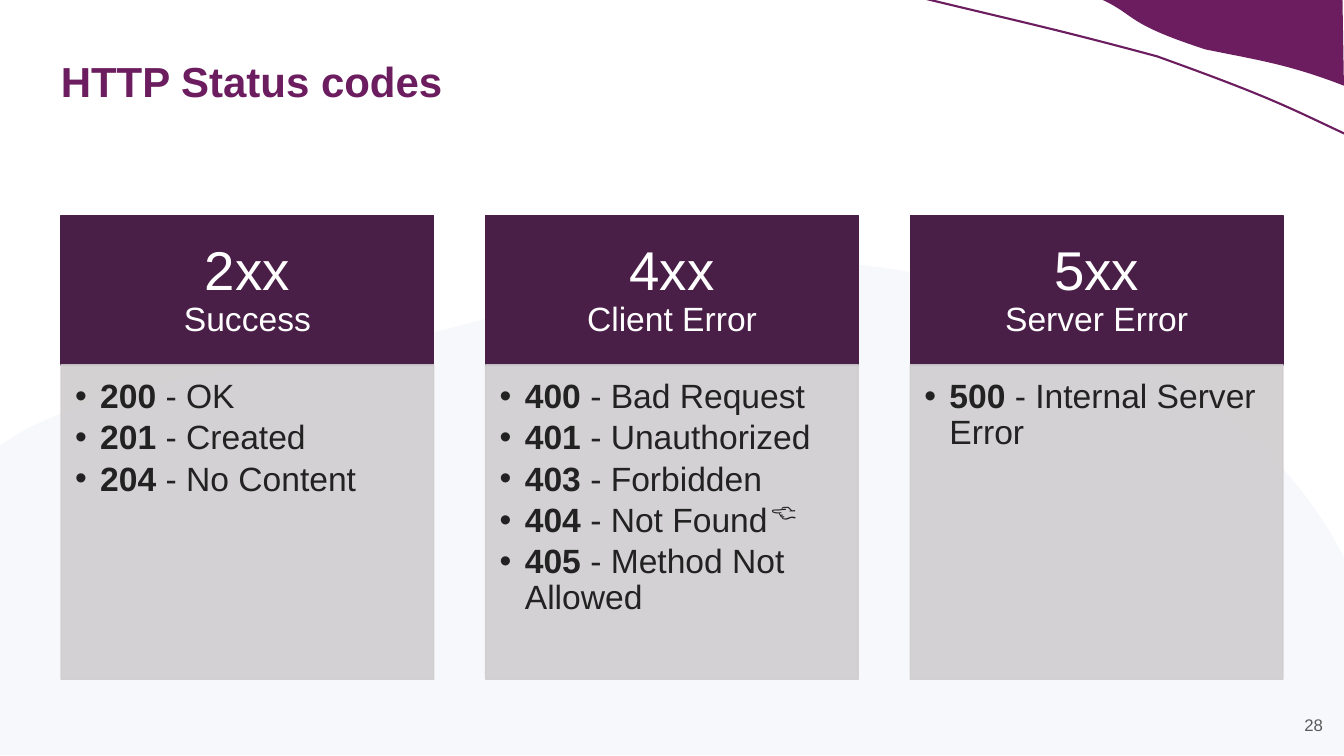
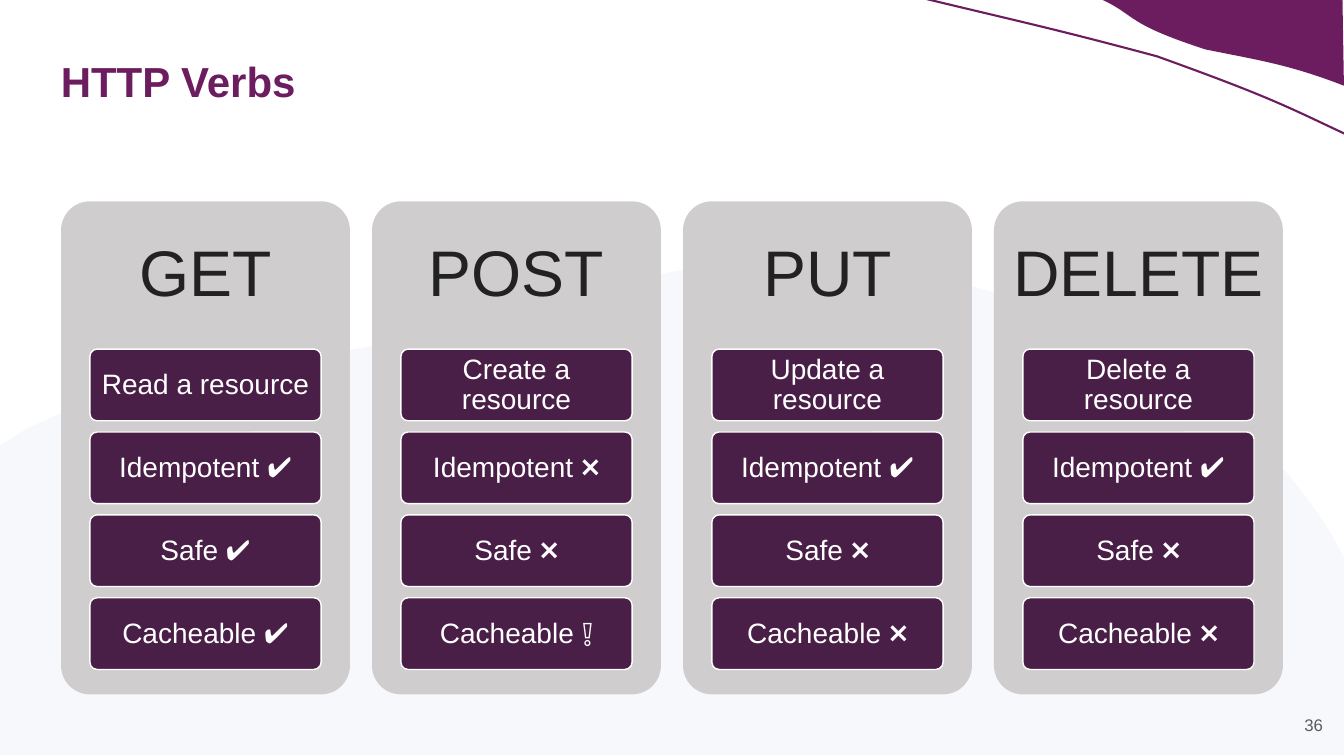
from dataclasses import dataclass
from itertools import chain

from lxml.etree import SubElement
from pptx import Presentation
from pptx.dml.color import RGBColor as RGB
from pptx.enum.shapes import MSO_SHAPE as SHAPE
from pptx.enum.text import MSO_ANCHOR as ANCHOR, MSO_AUTO_SIZE as AUTO_SIZE, PP_ALIGN as ALIGN
from pptx.oxml.ns import qn
from pptx.util import Pt


@dataclass(frozen=True)
class Theme:
    font: str = "Arial"
    brand: RGB = RGB(0x6C, 0x1D, 0x5F)
    plum: RGB = RGB(0x49, 0x1E, 0x47)
    panel: RGB = RGB(0xD0, 0xCD, 0xCF)
    wave: RGB = RGB(0xF7, 0xF8, 0xFC)
    ink: RGB = RGB(0x22, 0x22, 0x22)
    muted: RGB = RGB(0x5A, 0x5A, 0x5A)
    white: RGB = RGB(0xFF, 0xFF, 0xFF)
    verb: int = 46
    code_class: int = 39
    title: int = 30
    body: int = 24
    trait: int = 20
    pointer: int = 18
    page: int = 12


THEME = Theme()
LEFT, CONTENT_WIDTH = 43.6, 872.8

WAVE = [
    [(557.3, 186.5)],
    [(572, 185.8), (586, 186.5), (601, 188)],
    [(723.6, 197.3), (880.6, 261.4), (952.6, 384.5)],
    [(960, 398)], [(960, 539.3)], [(0, 539.3)], [(0, 318.2)], [(15.8, 308.2)],
    [(88.6, 269.3), (190.8, 262.8), (277.2, 244.8)],
    [(377.3, 223.9), (457.2, 187.9), (557.3, 186.5)],
]
CORNER = [
    [(787.7, 0)], [(959, 0)], [(960, 61.2)],
    [(920.9, 46.1), (900, 43.2), (861.1, 35.3)],
    [(803.5, 16.6), (812.2, 11.5), (787.7, 0)],
]
SWEEP = [
    [(661.7, -0.7)],
    [(730.1, 15.8), (754.6, 20.9), (826.6, 40.3)],
    [(908.6, 69.8), (919.4, 76.3), (962.6, 96.5)],
]

STATUS_CLASSES = [
    ("2xx", "Success", [("200", "OK"), ("201", "Created"), ("204", "No Content")]),
    ("4xx", "Client Error", [
        ("400", "Bad Request"), ("401", "Unauthorized"), ("403", "Forbidden"),
        ("404", "Not Found"), ("405", "Method Not Allowed")]),
    ("5xx", "Server Error", [("500", "Internal Server Error")]),
]
TRAITS = ["Idempotent", "Safe", "Cacheable"]
VERBS = [
    ("GET", "Read a resource", ["✔️", "✔️", "✔️"]),
    ("POST", "Create a resource", ["❌", "❌", "❕"]),
    ("PUT", "Update a resource", ["✔️", "❌", "❌"]),
    ("DELETE", "Delete a resource", ["✔️", "❌", "❌"]),
]


def column_lefts(count, width):
    pitch = (CONTENT_WIDTH - width) / (count - 1)
    return [LEFT + i * pitch for i in range(count)]


def paint(shape, fill=None, line=None, weight=1):
    shape.shadow.inherit = False
    if fill is None:
        shape.fill.background()
    else:
        shape.fill.solid()
        shape.fill.fore_color.rgb = fill
    if line is None:
        shape.line.fill.background()
    else:
        shape.line.color.rgb = line
        shape.line.width = Pt(weight)


def make_translucent(shape, percent):
    for color in shape.element.spPr.iter(qn("a:srgbClr")):
        SubElement(color, qn("a:alpha"), val=str(percent * 1000))


def add_block(slide, kind, left, top, width, height, fill, line=None, corner=None):
    block = slide.shapes.add_shape(kind, Pt(left), Pt(top), Pt(width), Pt(height))
    if corner is not None:
        block.adjustments[0] = corner
    paint(block, fill, line)
    return block


def frame_text(shape, insets, anchor):
    frame = shape.text_frame
    frame.word_wrap = True
    frame.auto_size = AUTO_SIZE.NONE
    frame.vertical_anchor = anchor
    frame.margin_left, frame.margin_top, frame.margin_right, frame.margin_bottom = map(Pt, insets)
    return frame


def style(paragraph, size, color, align=ALIGN.LEFT, bold=False):
    paragraph.alignment = align
    paragraph.line_spacing = 0.9
    font = paragraph.font
    font.name, font.size, font.bold = THEME.font, Pt(size), bold
    font.color.rgb = color


def write(shape, text, size, color, insets, align=ALIGN.CENTER, anchor=ANCHOR.MIDDLE, bold=False):
    paragraph = frame_text(shape, insets, anchor).paragraphs[0]
    paragraph.text = text
    style(paragraph, size, color, align, bold)


def add_label(slide, text, left, top, width, height, size, color, align):
    label = slide.shapes.add_textbox(Pt(left), Pt(top), Pt(width), Pt(height))
    write(label, text, size, color, (7.2, 3.6, 7.2, 3.6), align)


def bend(outline, segments):
    lines = iter(list(outline.element.iter(qn("a:lnTo"))))
    for segment in segments:
        first, *others = [next(lines) for _ in segment]
        if others:
            first.tag = qn("a:cubicBezTo")
            for line in others:
                first.append(line[0])
                line.getparent().remove(line)


def add_outline(slide, segments, fill=None, line=None):
    start, *rest = [(Pt(x), Pt(y)) for x, y in chain(*segments)]
    builder = slide.shapes.build_freeform(*start)
    builder.add_line_segments(rest, close=fill is not None)
    outline = builder.convert_to_shape()
    bend(outline, segments[1:])
    paint(outline, fill, line, 1.5)


def add_page(deck, heading, number):
    slide = deck.slides.add_slide(deck.slide_layouts[5])
    add_outline(slide, WAVE, fill=THEME.wave)
    add_outline(slide, CORNER, fill=THEME.brand)
    add_outline(slide, SWEEP, line=THEME.brand)
    title = slide.shapes.title
    slide.shapes.element.append(title.element)
    title.left, title.top, title.width, title.height = Pt(43.4), Pt(44), Pt(873.2), Pt(89.2)
    write(title, heading, THEME.title, THEME.brand, (0, 0, 0, 0), ALIGN.LEFT, ANCHOR.TOP, True)
    add_label(slide, number, 916.8, 497.2, 43.2, 43.2, THEME.page, THEME.muted, ALIGN.CENTER)
    return slide


def add_class_header(slide, left, width, code_class, meaning):
    header = add_block(slide, SHAPE.RECTANGLE, left, 154, width, 106.6, THEME.plum, THEME.plum)
    paragraph = frame_text(header, (21.6, 13, 21.6, 12.2), ANCHOR.MIDDLE).paragraphs[0]
    digits = paragraph.add_run()
    digits.text = code_class
    digits.font.size = Pt(THEME.code_class)
    paragraph.add_line_break()
    paragraph.add_run().text = meaning
    style(paragraph, THEME.body, THEME.white, ALIGN.CENTER)


def add_code_list(slide, left, width, codes):
    panel = add_block(slide, SHAPE.RECTANGLE, left, 260.6, width, 224.6, THEME.panel, THEME.panel)
    make_translucent(panel, 90)
    frame = frame_text(panel, (10, 10.4, 13.6, 15), ANCHOR.TOP)
    for i, (code, meaning) in enumerate(codes):
        paragraph = frame.add_paragraph() if i else frame.paragraphs[0]
        properties = paragraph._p.get_or_add_pPr()
        properties.set("marL", str(Pt(18)))
        properties.set("indent", str(Pt(-18)))
        SubElement(properties, qn("a:buFont"), typeface=THEME.font)
        SubElement(properties, qn("a:buChar"), char="•")
        number = paragraph.add_run()
        number.text = code
        number.font.bold = True
        number.font.size = Pt(THEME.body)
        paragraph.add_run().text = f" - {meaning}"
        style(paragraph, THEME.body, THEME.ink)
        paragraph.space_after = Pt(3.6)


def add_verb_card(slide, left, width, verb, traits):
    card_height, heading_height, inset = 352.2, 105.8, 7.6
    card = add_block(slide, SHAPE.ROUNDED_RECTANGLE, left, 143.8, width, card_height,
                     THEME.panel, corner=0.1)
    write(card, verb, THEME.verb, THEME.ink,
          (inset, inset, inset, card_height - heading_height + inset))
    trait_width = width * 0.8
    for row, trait in enumerate(traits):
        box = add_block(slide, SHAPE.ROUNDED_RECTANGLE, left + (width - trait_width) / 2,
                        249.4 + row * 59.2, trait_width, 51.2,
                        THEME.plum, THEME.white, corner=0.1)
        write(box, trait, THEME.trait, THEME.white, (4.4, 3.4, 4.4, 2.8))


def status_codes(deck):
    slide = add_page(deck, "HTTP Status codes", "28")
    width = 266.2
    for left, (code_class, meaning, codes) in zip(column_lefts(3, width), STATUS_CLASSES):
        add_class_header(slide, left, width, code_class, meaning)
        add_code_list(slide, left, width, codes)
    add_label(slide, "👈", 543.8, 352, 42.5, 28.8, THEME.pointer, THEME.ink, ALIGN.LEFT)


def verbs(deck):
    slide = add_page(deck, "HTTP Verbs", "36")
    width = 206.4
    for left, (verb, action, marks) in zip(column_lefts(4, width), VERBS):
        traits = [f"{trait} {mark}" for trait, mark in zip(TRAITS, marks)]
        add_verb_card(slide, left, width, verb, [action, *traits])


def main():
    deck = Presentation()
    deck.slide_width, deck.slide_height = Pt(960), Pt(540)
    status_codes(deck)
    verbs(deck)
    deck.save("out.pptx")


if __name__ == "__main__":
    main()
